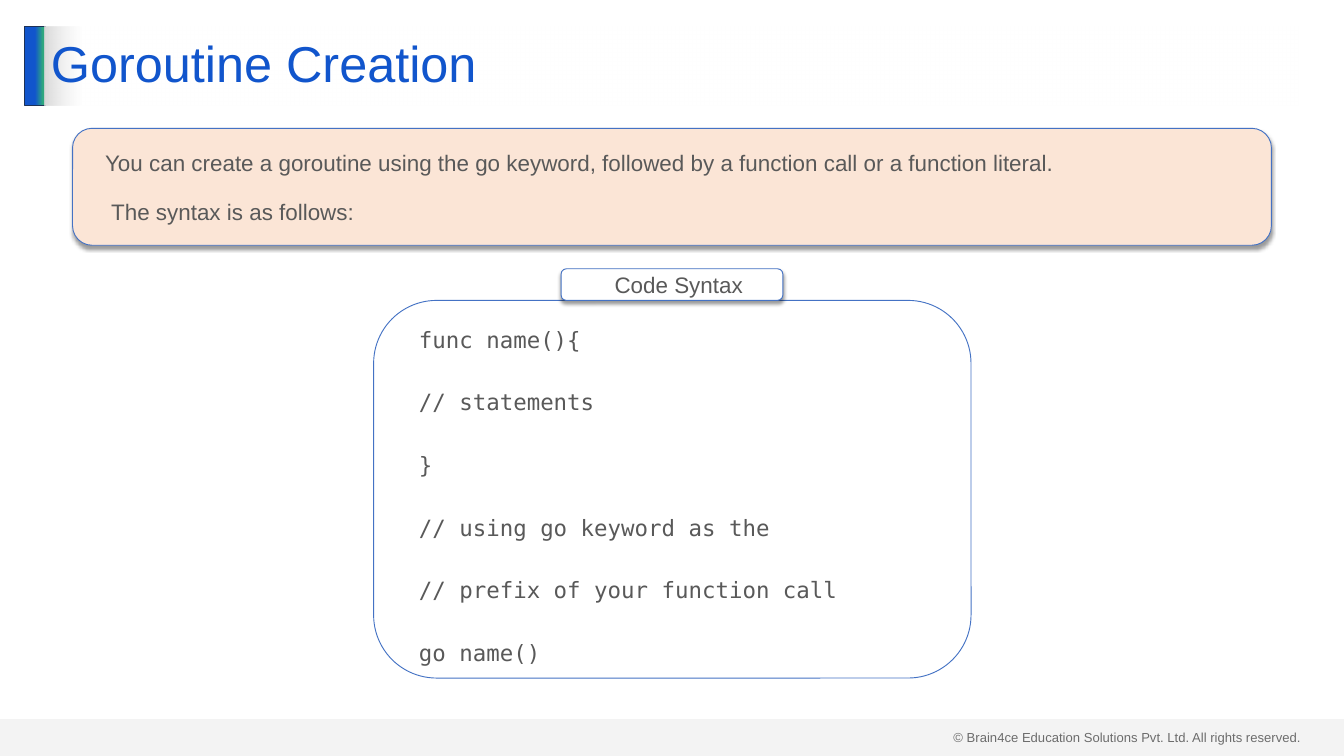
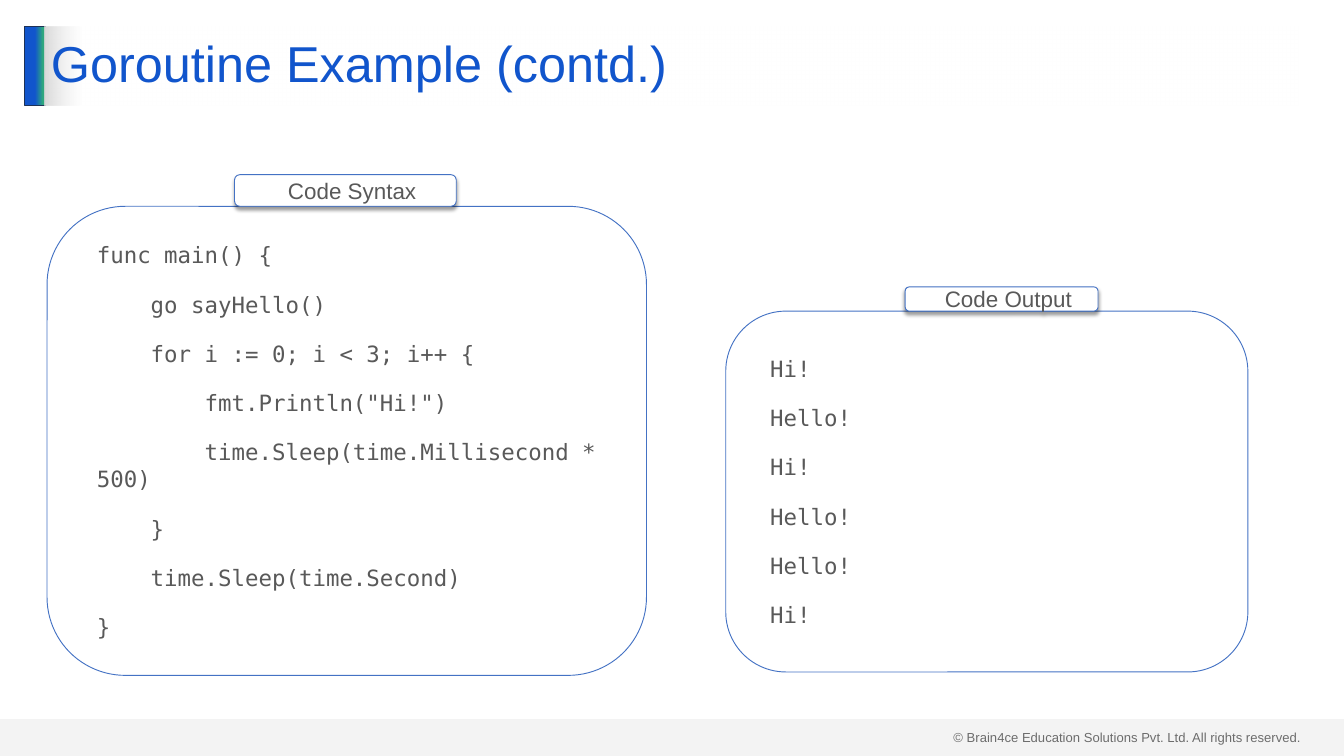
"""Build two slides on creating and running goroutines."""
from lxml.etree import SubElement
from pptx import Presentation
from pptx.dml.color import RGBColor
from pptx.enum.shapes import MSO_SHAPE as Shape
from pptx.enum.text import MSO_ANCHOR as Anchor, PP_ALIGN as Align
from pptx.oxml.ns import qn
from pptx.util import Inches, Pt

COLORS = {
    "blue": "1155CC", "green": "2EA87D", "navy": "1E3256", "outline": "4472C4",
    "peach": "FBE5D6", "white": "FFFFFF", "grey": "D9D9D9", "text": "595959",
    "copyright": "404040", "shadow": "000000",
}
SANS, MONO = "Arial", "DejaVu Sans Mono"
COPYRIGHT = "© Brain4ce Education Solutions Pvt. Ltd. All rights reserved."
INDENT = 0.2

SLIDES = [
    {
        "title": "Goroutine Creation",
        "note": {
            "at": (1.08, 1.91, 17.84, 1.74),
            "lines": [
                "You can create a goroutine using the go keyword, "
                "followed by a function call or a function literal.",
                "The syntax is as follows:",
            ],
        },
        "panels": [
            {
                "at": (5.56, 4.47, 8.89, 5.62),
                "tag": ("Code Syntax", 8.35, 3.3, 0.47),
                "spacing": 1.5,
                "lines": [
                    "func name(){",
                    "// statements",
                    "}",
                    "// using go keyword as the",
                    "// prefix of your function call",
                    "go name()",
                ],
            },
        ],
    },
    {
        "title": "Goroutine Example (contd.)",
        "panels": [
            {
                "at": (0.7, 3.07, 8.92, 6.98),
                "tag": ("Code Syntax", 3.49, 3.3, 0.47),
                "lines": [
                    "func main() {",
                    "    go sayHello()",
                    "    for i := 0; i < 3; i++ {",
                    '        fmt.Println("Hi!")',
                    "        time.Sleep(time.Millisecond * 500)",
                    "    }",
                    "    time.Sleep(time.Second)",
                    "}",
                ],
            },
            {
                "at": (10.8, 4.63, 7.77, 5.37),
                "tag": ("Code Output", 13.47, 2.87, 0.36),
                "lines": ["Hi!", "Hello!", "Hi!", "Hello!", "Hello!", "Hi!"],
            },
        ],
    },
]


def rgb(name):
    return RGBColor.from_string(COLORS[name])


def add_color(parent, name, opacity=100):
    color = SubElement(parent, qn("a:srgbClr"), val=COLORS[name])
    if opacity < 100:
        SubElement(color, qn("a:alpha"), val=str(opacity * 1000))


def add_box(page, kind, at, fill=None, line=None):
    box = page.shapes.add_shape(kind, *map(Inches, at))
    box.shadow.inherit = False
    if fill:
        box.fill.solid()
        box.fill.fore_color.rgb = rgb(fill)
    else:
        box.fill.background()
    if line:
        box.line.color.rgb = rgb(line)
        box.line.width = Pt(1)
    else:
        box.line.fill.background()
    return box


def add_gradient(box, stops):
    box.fill.gradient()
    box.fill.gradient_angle = 0
    stop_list = box.element.spPr.find(".//" + qn("a:gsLst"))
    for stop in list(stop_list):
        stop_list.remove(stop)
    for position, name, opacity in stops:
        stop = SubElement(stop_list, qn("a:gs"), pos=str(position * 1000))
        add_color(stop, name, opacity)


def add_shadow(box):
    effects = box.element.spPr.find(qn("a:effectLst"))
    shadow = SubElement(effects, qn("a:outerShdw"), blurRad=str(Pt(4)),
                        dist=str(Pt(3)), dir="5400000", algn="t", rotWithShape="0")
    add_color(shadow, "shadow", 40)


def style_font(para, font, size, color):
    for span in para.runs:
        span.font.name = font
        span.font.size = Pt(size)
        span.font.color.rgb = rgb(color)


def write_lines(box, lines, font, align=Align.LEFT, spacing=1.0):
    frame = box.text_frame
    frame.word_wrap = True
    frame.vertical_anchor = Anchor.MIDDLE
    frame.margin_left = frame.margin_right = Inches(0.2)
    frame.margin_top = frame.margin_bottom = Inches(0.1)
    frame.text = "\n".join(lines)
    last = len(lines) - 1
    for index, para in enumerate(frame.paragraphs):
        set_indent(para, INDENT)
        para.alignment = align
        para.line_spacing = spacing
        para.space_before = Pt(12 if index else 0)
        para.space_after = Pt(12 if index < last else 0)
        style_font(para, font, 24, "text")


def set_indent(para, inches):
    props = para._p.get_or_add_pPr()
    props.set("marL", str(Inches(inches)))
    props.set("indent", "0")


def add_frame(page, title):
    footer = page.shapes.add_textbox(*map(Inches, (14.09, 10.8, 5.41, 0.34)))
    footer.text_frame.word_wrap = True
    footer.text_frame.text = COPYRIGHT
    style_font(footer.text_frame.paragraphs[0], SANS, 14, "copyright")

    accent = add_box(page, Shape.RECTANGLE, (0.37, 0.39, 0.3, 1.18), line="navy")
    add_gradient(accent, [(51, "blue", 100), (90, "green", 100), (100, "green", 100)])

    band = add_box(page, Shape.RECTANGLE, (0, 10.7, 20, 0.55), "grey")
    color = band.element.spPr.find(qn("a:solidFill"))[0]
    SubElement(color, qn("a:alpha"), val="29000")

    heading = add_box(page, Shape.RECTANGLE, (0.66, 0.39, 18.67, 1.18))
    add_gradient(heading, [(0, "grey", 100), (0, "grey", 100), (3, "white", 50)])
    heading.text_frame.word_wrap = True
    heading.text_frame.vertical_anchor = Anchor.MIDDLE
    heading.text_frame.text = title
    para = heading.text_frame.paragraphs[0]
    para.alignment = Align.LEFT
    para.line_spacing = 0.9
    style_font(para, SANS, 54, "blue")


def add_note(page, note):
    box = add_box(page, Shape.ROUNDED_RECTANGLE, note["at"], "peach", "outline")
    add_shadow(box)
    write_lines(box, note["lines"], SANS)
    set_indent(box.text_frame.paragraphs[1], INDENT + 0.09)


def add_panel(page, panel):
    box = add_box(page, Shape.ROUNDED_RECTANGLE, panel["at"], line="outline")
    write_lines(box, panel["lines"], MONO, spacing=panel.get("spacing", 1.0))
    label, left, width, height = panel["tag"]
    top = panel["at"][1] - height
    tag = add_box(page, Shape.ROUNDED_RECTANGLE, (left, top, width, height),
                  "white", "outline")
    add_shadow(tag)
    write_lines(tag, [label], SANS, Align.CENTER)


def main():
    deck = Presentation()
    deck.slide_width, deck.slide_height = Inches(20), Inches(11.25)
    for content in SLIDES:
        page = deck.slides.add_slide(deck.slide_layouts[6])
        add_frame(page, content["title"])
        if "note" in content:
            add_note(page, content["note"])
        for panel in content["panels"]:
            add_panel(page, panel)
    deck.save("out.pptx")


if __name__ == "__main__":
    main()
